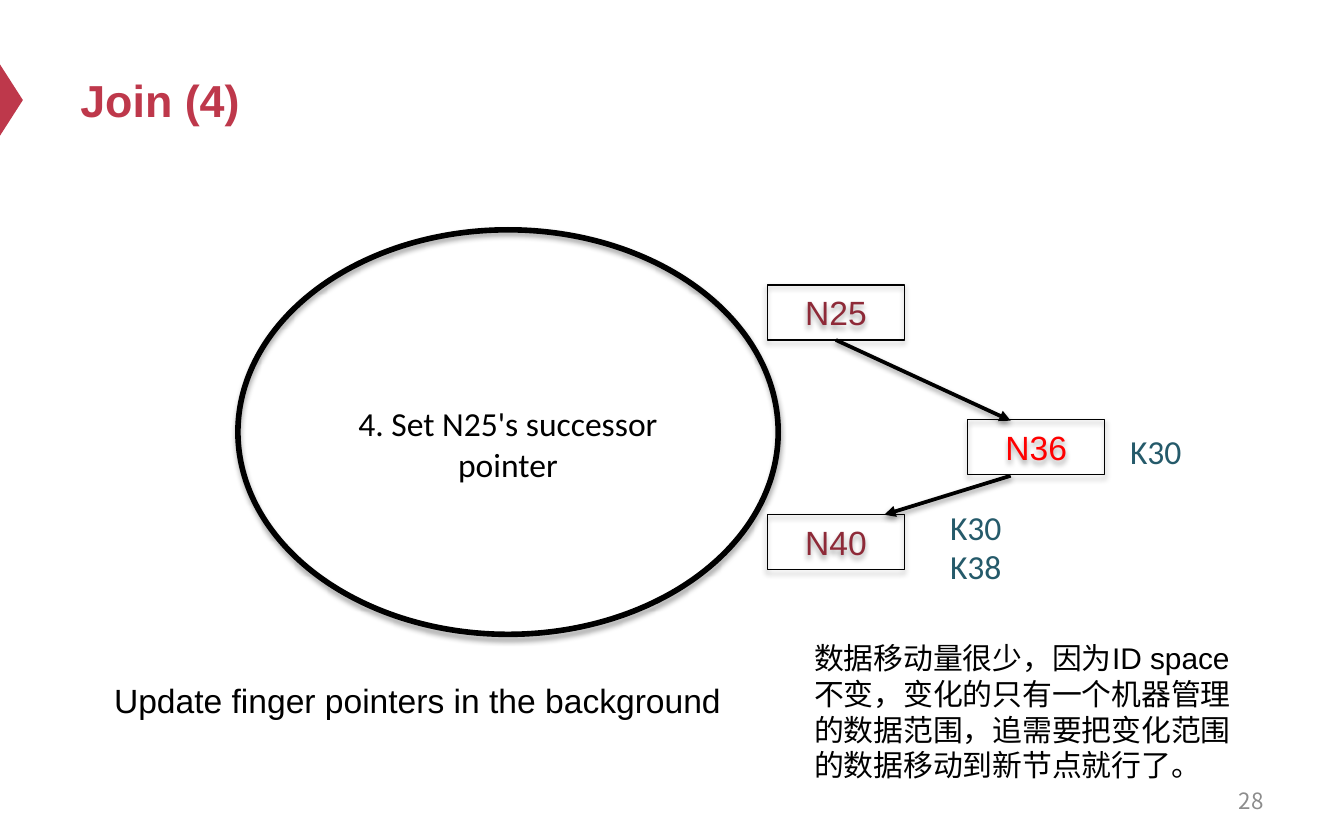
import pptx
import pptx.dml.color
import pptx.enum.shapes
import pptx.enum.text
import pptx.oxml
import pptx.oxml.ns
import pptx.util
from lxml import etree

COLUMNS = 100
ROWS = 62.5
UNIT = pptx.util.Inches(0.1)
NODE_SIZE = (10.2, 4.1)
KEY_SIZE = (7.9, 4)

COLORS = {
    "accent": "BE384B",
    "member": "8E2A38",
    "joining": "FF0000",
    "key": "255A6A",
    "ink": "000000",
    "number": "8C8C8C",
}
SHAPES = pptx.enum.shapes.MSO_SHAPE
ALIGN = pptx.enum.text.PP_ALIGN
ANCHOR = pptx.enum.text.MSO_ANCHOR


def color(name):
    return pptx.dml.color.RGBColor.from_string(COLORS[name])


def grid(*lengths):
    return [round(length * UNIT) for length in lengths]


def within(box, left, top, width, height):
    return box[0] + left, box[1] + top, width, height


def add_shadow(shape, opacity, distance):
    properties = shape._element.spPr
    effects = etree.SubElement(properties, pptx.oxml.ns.qn("a:effectLst"))
    shadow = etree.SubElement(
        effects, pptx.oxml.ns.qn("a:outerShdw"),
        blurRad=str(pptx.util.Pt(3.1)), dist=str(pptx.util.Pt(distance)),
        dir="5400000", rotWithShape="0")
    tint = etree.SubElement(
        shadow, pptx.oxml.ns.qn("a:srgbClr"), val=COLORS["ink"])
    etree.SubElement(
        tint, pptx.oxml.ns.qn("a:alpha"), val=str(opacity * 1000))


def write(shape, text, size, face, ink, align=ALIGN.LEFT, anchor=ANCHOR.TOP,
          bold=False):
    frame = shape.text_frame
    frame.word_wrap = True
    frame.vertical_anchor = anchor
    para = frame.paragraphs[0]
    para.text = text
    para.alignment = align
    para.font.size = pptx.util.Pt(size)
    para.font.name = face
    para.font.bold = bold
    para.font.color.rgb = color(ink)


def add_text(page, box, text, size, face, ink, **style):
    shape = page.shapes.add_textbox(*grid(*box))
    write(shape, text, size, face, ink, **style)


def add_outline(page, kind, box, width):
    shape = page.shapes.add_shape(kind, *grid(*box))
    shape.fill.background()
    shape.line.color.rgb = color("ink")
    shape.line.width = pptx.util.Pt(width)
    add_shadow(shape, 35, 1.8)
    return shape


def add_node(page, box, label, ink):
    node = add_outline(page, SHAPES.RECTANGLE, box, 0.75)
    write(node, label, 18, "Arial", ink,
          align=ALIGN.CENTER, anchor=ANCHOR.MIDDLE)
    return node


def add_arrow(page, start, end):
    arrow = page.shapes.add_connector(
        pptx.enum.shapes.MSO_CONNECTOR.STRAIGHT, *grid(*start, *end))
    arrow.line.color.rgb = color("ink")
    arrow.line.width = pptx.util.Pt(2)
    etree.SubElement(arrow.line._get_or_add_ln(),
                     pptx.oxml.ns.qn("a:tailEnd"), type="triangle")
    add_shadow(arrow, 38, 1.6)
    return arrow


def add_header(page, box):
    marker = page.shapes.add_shape(
        SHAPES.ISOSCELES_TRIANGLE, *grid(*within(box, -1.8, 4.1, 5.3, 1.7)))
    marker.rotation = 90
    marker.shadow.inherit = False
    marker.fill.solid()
    marker.fill.fore_color.rgb = color("accent")
    marker.line.fill.background()
    add_text(page, within(box, 5, 0, box[2] - 10, box[3]), "Join (4)", 24,
             "Arial", "accent", anchor=ANCHOR.MIDDLE, bold=True)


def add_ring(page, box):
    add_outline(page, SHAPES.OVAL, box, 3)
    add_text(page, within(box, 7.1, 12.4, 26, 7.1),
             "4. Set N25's successor pointer", 18, "Calibri", "ink",
             align=ALIGN.CENTER)


def add_successors(page, box):
    left, top = box[:2]
    nodes = {}
    for label, across, down, ink in (
            ("N25", 0, 0, "member"),
            ("N36", 14.9, 10, "joining"),
            ("N40", 0, 17.1, "member")):
        nodes[label] = add_node(
            page, within(box, across, down, *NODE_SIZE), label, ink)
    for label, across, down in (
            ("K30", 12.6, 16), ("K38", 12.6, 18.9), ("K30", 26, 10.4)):
        add_text(page, within(box, across, down, *KEY_SIZE), label, 18,
                 "Calibri", "key")
    joint = left + 18.1
    to_joining = add_arrow(
        page, (left + NODE_SIZE[0] / 2, top + NODE_SIZE[1]), (joint, top + 10.1))
    to_joining.begin_connect(nodes["N25"], 2)
    add_arrow(page, (joint, top + 10.1 + NODE_SIZE[1]),
              (left + 8.7, top + 17.1))


def add_notes(page, box):
    add_text(page, within(box, 0, 3, 79.5, 4),
             "Update finger pointers in the background", 18, "Arial", "ink")
    add_text(page, within(box, 64.2, 10.8, 23.3, 3.3), "28", 12,
             "Noto Sans CJK SC", "number",
             align=ALIGN.RIGHT, anchor=ANCHOR.MIDDLE)
    add_text(page, within(box, 52.1, 0, 33.3, 11.8),
             "数据移动量很少，因为ID space不变，变化的只有一个机器管理的数据范围，"
             "追需要把变化范围的数据移动到新节点就行了。", 16, "Arial", "ink")


def main():
    deck = pptx.Presentation()
    deck.slide_width, deck.slide_height = grid(COLUMNS, ROWS)
    page = deck.slides.add_slide(deck.slide_layouts[6])
    add_header(page, (0, 2.5, COLUMNS, 9.8))
    add_ring(page, (17.7, 17.1, 40.2, 30.1))
    add_successors(page, (57.1, 21.2, 33.9, 22.9))
    add_notes(page, (7.5, 47.1, 87.5, 14.1))
    deck.save("out.pptx")


if __name__ == "__main__":
    main()
